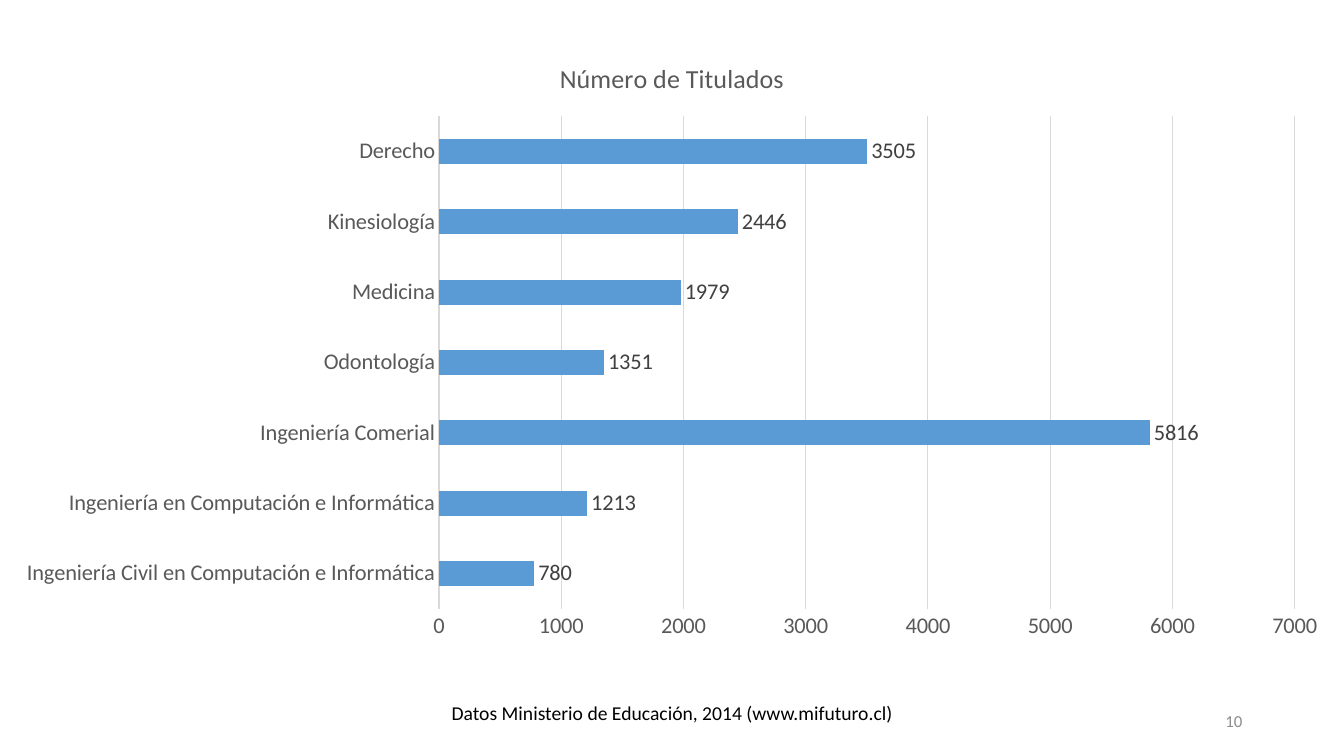
from dataclasses import dataclass

from pptx import Presentation
from pptx.chart.data import CategoryChartData
from pptx.dml.color import RGBColor
from pptx.enum.chart import XL_CHART_TYPE as ChartType
from pptx.enum.chart import XL_LABEL_POSITION as LabelPosition
from pptx.enum.chart import XL_TICK_MARK as TickMark
from pptx.enum.text import MSO_ANCHOR as Anchor
from pptx.enum.text import PP_ALIGN as Align
from pptx.util import Inches, Pt


@dataclass(frozen=True)
class Theme:
    font: str = "Calibri"
    text: str = "000000"
    axis_text: str = "595959"
    label_text: str = "404040"
    muted: str = "8C8C8C"
    grid: str = "D9D9D9"
    bar: str = "5B9BD5"
    title_size: float = 18.6
    chart_size: float = 16
    source_size: float = 14
    number_size: float = 12
    line_width: float = 0.75


GRADUATES = {
    "Ingeniería Civil en Computación e Informática": 780,
    "Ingeniería en Computación e Informática": 1213,
    "Ingeniería Comerial": 5816,
    "Odontología": 1351,
    "Medicina": 1979,
    "Kinesiología": 2446,
    "Derecho": 3505,
}


class SlideBuilder:
    def __init__(self, slide, theme):
        self.slide = slide
        self.theme = theme

    def format_font(self, font, size, color):
        font.name = self.theme.font
        font.size = Pt(size)
        font.bold = False
        font.color.rgb = RGBColor.from_string(color)

    def format_line(self, line):
        line.color.rgb = RGBColor.from_string(self.theme.grid)
        line.width = Pt(self.theme.line_width)

    def add_text(self, text, left, top, width, height, *, size, color,
                 align=Align.LEFT, anchor=Anchor.TOP, wrap=True):
        box = self.slide.shapes.add_textbox(
            Inches(left), Inches(top), Inches(width), Inches(height))
        frame = box.text_frame
        frame.word_wrap = wrap
        frame.vertical_anchor = anchor
        paragraph = frame.paragraphs[0]
        paragraph.alignment = align
        run = paragraph.add_run()
        run.text = text
        self.format_font(run.font, size, color)

    def add_bar_chart(self, title, values, left, top, width, height):
        theme = self.theme
        data = CategoryChartData()
        data.categories = list(values)
        data.add_series("Series 1", list(values.values()))
        chart = self.slide.shapes.add_chart(
            ChartType.BAR_CLUSTERED, Inches(left), Inches(top),
            Inches(width), Inches(height), data).chart
        self.format_font(chart.font, theme.chart_size, theme.text)
        chart.has_legend = False

        chart.has_title = True
        chart.chart_title.include_in_layout = False
        run = chart.chart_title.text_frame.paragraphs[0].add_run()
        run.text = title
        self.format_font(run.font, theme.title_size, theme.axis_text)

        for axis in (chart.category_axis, chart.value_axis):
            axis.major_tick_mark = axis.minor_tick_mark = TickMark.NONE
            self.format_font(axis.tick_labels.font, theme.chart_size, theme.axis_text)
        chart.category_axis.has_major_gridlines = False
        self.format_line(chart.category_axis.format.line)
        chart.value_axis.format.line.fill.background()
        self.format_line(chart.value_axis.major_gridlines.format.line)

        plot = chart.plots[0]
        plot.gap_width = 182
        plot.vary_by_categories = False
        fill = plot.series[0].format.fill
        fill.solid()
        fill.fore_color.rgb = RGBColor.from_string(theme.bar)
        plot.has_data_labels = True
        labels = plot.data_labels
        labels.show_value = True
        labels.position = LabelPosition.OUTSIDE_END
        self.format_font(labels.font, theme.chart_size, theme.label_text)


def main():
    presentation = Presentation()
    presentation.slide_width = Inches(13.33)
    presentation.slide_height = Inches(7.5)
    theme = Theme()
    builder = SlideBuilder(
        presentation.slides.add_slide(presentation.slide_layouts[6]), theme)

    builder.add_bar_chart("Número de Titulados", GRADUATES, 0, 0.38, 13.33, 6.09)
    builder.add_text("Datos Ministerio de Educación, 2014 (www.mifuturo.cl)",
                     4.38, 6.9, 4.62, 0.34, size=theme.source_size,
                     color=theme.text, wrap=False)
    builder.add_text("10", 9.42, 6.95, 3, 0.4, size=theme.number_size,
                     color=theme.muted, align=Align.RIGHT, anchor=Anchor.MIDDLE)
    presentation.save("out.pptx")


if __name__ == "__main__":
    main()
